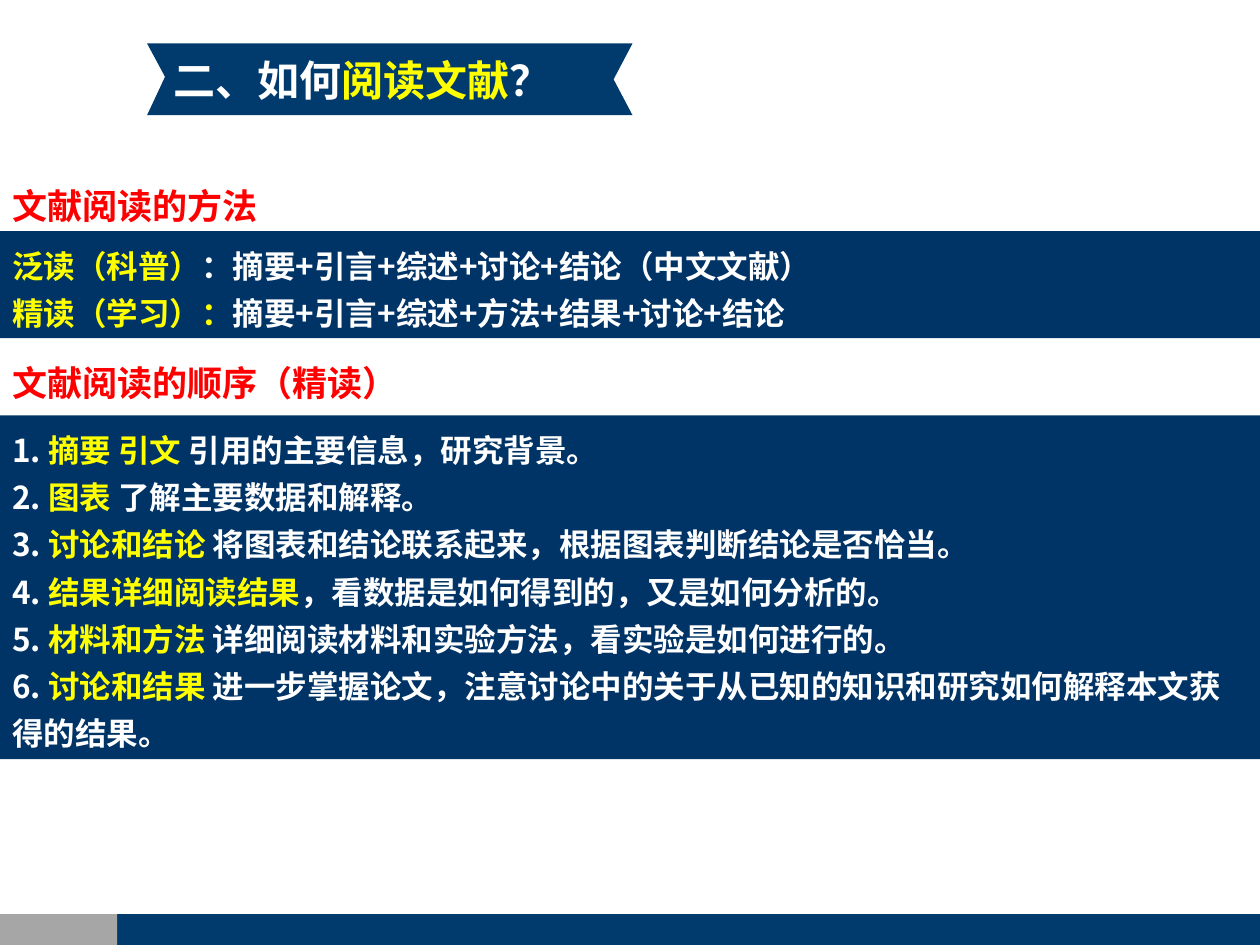
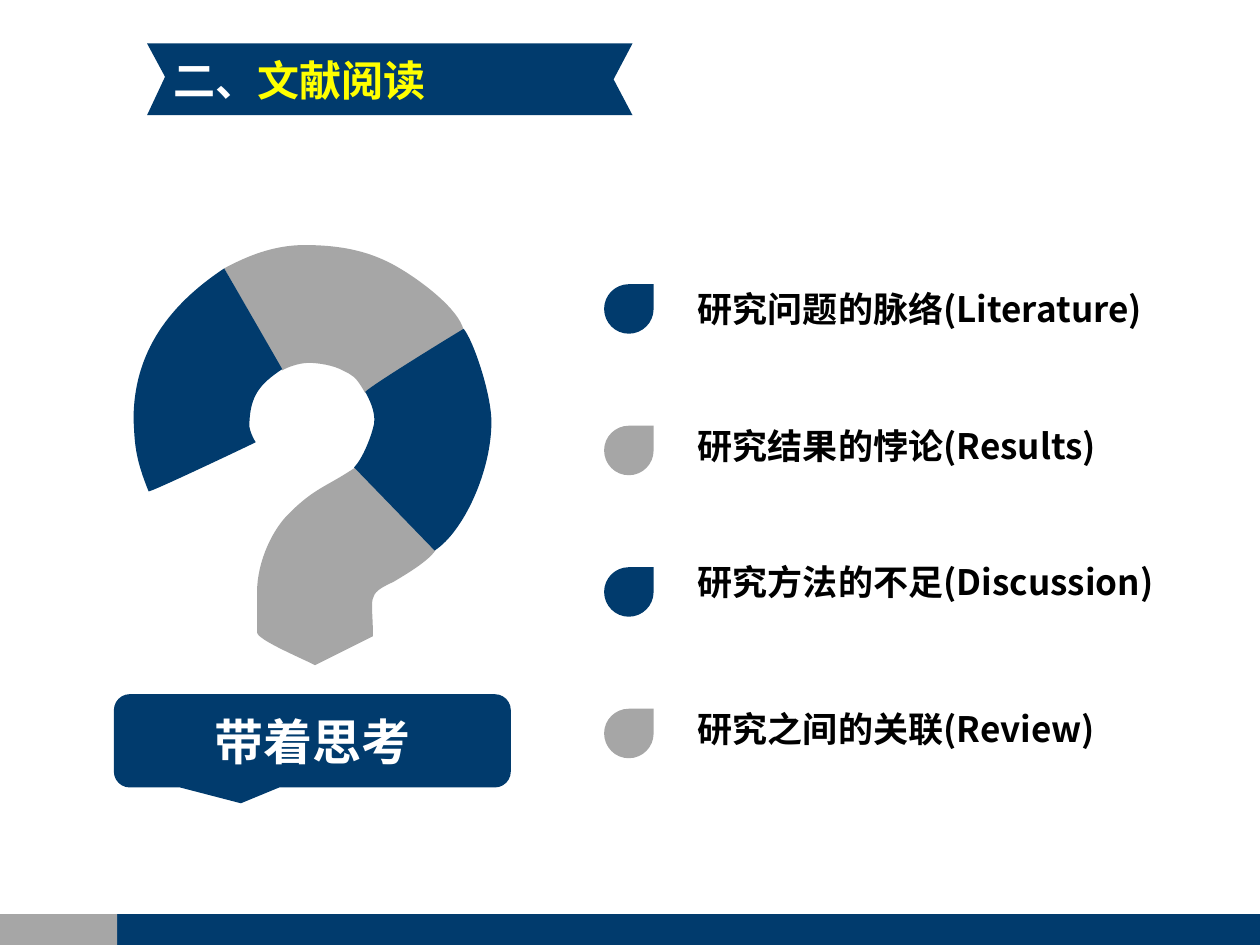
from dataclasses import dataclass
from typing import Any, NamedTuple

import pptx
import pptx.dml.color
import pptx.enum.shapes
import pptx.enum.text
import pptx.oxml
import pptx.oxml.ns
import pptx.util

Align = pptx.enum.text.PP_ALIGN
Anchor = pptx.enum.text.MSO_ANCHOR
AutoSize = pptx.enum.text.MSO_AUTO_SIZE
Preset = pptx.enum.shapes.MSO_SHAPE


# Theme and grid
@dataclass(frozen=True)
class Theme:
    navy: str = "013B6D"
    panel: str = "003366"
    grey: str = "A6A6A6"
    white: str = "FFFFFF"
    yellow: str = "FFFF00"
    red: str = "FF0000"
    black: str = "000000"
    sans: str = "Noto Sans CJK SC"
    heading_font: str = "Arial"
    title_size: int = 24
    heading_size: int = 20
    body_size: int = 18
    callout_size: int = 28


THEME = Theme()
SLIDE_WIDTH = pptx.util.Inches(10)
SLIDE_HEIGHT = pptx.util.Inches(7.5)
COLUMNS = 100  # the slide is 100 columns by 75 rows of square cells
CELL = SLIDE_WIDTH // COLUMNS


def cells(count: float) -> pptx.util.Emu:
    return pptx.util.Emu(round(count * CELL))


# Descriptions of repeated elements
class Box(NamedTuple):
    left: float
    top: float
    width: float
    height: float

    def lengths(self) -> list[pptx.util.Emu]:
        return [cells(length) for length in self]


class Span(NamedTuple):
    text: str
    color: str | None = None


class TextStyle(NamedTuple):
    size: int
    color: str
    font: str = THEME.sans
    line_spacing: float | None = None
    align: Any = Align.LEFT


class Outline(NamedTuple):
    """Start point, then (x, y) lines and (x1, y1, x2, y2, x, y) curves."""
    color: str
    start: tuple[float, float]
    steps: list[tuple[float, ...]]


class Panel(NamedTuple):
    heading: str
    heading_top: float
    box: Box
    lines: list[list[Span]]


class Topic(NamedTuple):
    text: str
    label_top: float


Line = list[Span]
TITLE = TextStyle(THEME.title_size, THEME.white)
HEADING = TextStyle(THEME.heading_size, THEME.red, THEME.heading_font)
BODY = TextStyle(THEME.body_size, THEME.white, line_spacing=1.25)
TOPIC = TextStyle(THEME.heading_size, THEME.black, line_spacing=1.2, align=Align.JUSTIFY)
CALLOUT = TextStyle(THEME.callout_size, THEME.white, align=Align.CENTER)


# Drawing functions
def rgb(color: str) -> pptx.dml.color.RGBColor:
    return pptx.dml.color.RGBColor.from_string(color)


def paint(shape: Any, color: str) -> Any:
    shape.shadow.inherit = False
    shape.fill.solid()
    shape.fill.fore_color.rgb = rgb(color)
    shape.line.fill.background()
    return shape


def add_preset(shapes: Any, preset: Any, box: Box, color: str) -> Any:
    return paint(shapes.add_shape(preset, *box.lengths()), color)


def write(shape: Any, lines: list[Line], style: TextStyle,
          anchor: Any = Anchor.TOP, auto_size: Any = AutoSize.SHAPE_TO_FIT_TEXT) -> None:
    frame = shape.text_frame
    frame.word_wrap = True
    frame.vertical_anchor = anchor
    frame.auto_size = auto_size
    for index, line in enumerate(lines):
        paragraph = frame.add_paragraph() if index else frame.paragraphs[0]
        paragraph.alignment = style.align
        if style.line_spacing:
            paragraph.line_spacing = style.line_spacing
        font = paragraph.font
        font.size = pptx.util.Pt(style.size)
        font.bold = True
        font.color.rgb = rgb(style.color)
        font.name = style.font
        # The East Asian typeface follows the Latin one
        latin = paragraph._p.find(".//" + pptx.oxml.ns.qn("a:latin"))
        latin.addnext(pptx.oxml.parse_xml(
            f'<a:ea {pptx.oxml.ns.nsdecls("a")} typeface="{style.font}"/>'))
        for span in line:
            run = paragraph.add_run()
            run.text = span.text
            if span.color:
                run.font.color.rgb = rgb(span.color)


def add_text(shapes: Any, box: Box, line: Line, style: TextStyle) -> None:
    write(shapes.add_textbox(*box.lengths()), [line], style)


def add_outline(shapes: Any, outline: Outline, left: float = 0, top: float = 0) -> None:
    numbers = [*outline.start, *(number for step in outline.steps for number in step)]
    points = [(cells(left + x), cells(top + y)) for x, y in zip(numbers[::2], numbers[1::2])]
    builder = shapes.build_freeform(*points[0])
    builder.add_line_segments(points[1:], close=True)
    shape = paint(builder.convert_to_shape(), outline.color)
    # Join each three segments of a curved step into one Bezier curve
    segments = iter(list(shape._element.iter(pptx.oxml.ns.qn("a:lnTo"))))
    for step in outline.steps:
        group = [next(segments) for _ in range(len(step) // 2)]
        if len(group) == 3:
            curve = pptx.oxml.parse_xml(f'<a:cubicBezTo {pptx.oxml.ns.nsdecls("a")}/>')
            group[0].addprevious(curve)
            for segment in group:
                curve.append(segment[0])
                segment.getparent().remove(segment)


# Parts shared by the slides
RIBBON = Outline(THEME.navy, (48.7, 6.3), [
    (50.2, 9.15), (11.67, 9.15), (13.1, 6.1), (11.67, 3.45), (50.2, 3.45), (48.7, 6.3)])
FOOTER = [(Box(9.3, 72.56, 90.7, 2.44), THEME.navy), (Box(0, 72.56, 9.3, 2.44), THEME.grey)]


def add_titled_slide(presentation: Any, title: Line) -> Any:
    slide = presentation.slides.add_slide(presentation.slide_layouts[6])
    for box, color in FOOTER:
        add_preset(slide.shapes, Preset.RECTANGLE, box, color)
    banner = slide.shapes.add_group_shape().shapes
    add_outline(banner, RIBBON)
    add_text(banner, Box(12.8, 3.8, 36.9, 5), title, TITLE)
    return slide


# Slide 1: how to read
def key(text: str) -> Span:
    return Span(text, THEME.yellow)


READING_STEPS = [
    ("摘要 引文", " 引用的主要信息，研究背景。"),
    ("图表", " 了解主要数据和解释。"),
    ("讨论和结论", " 将图表和结论联系起来，根据图表判断结论是否恰当。"),
    ("结果详细阅读结果", "，看数据是如何得到的，又是如何分析的。"),
    ("材料和方法", " 详细阅读材料和实验方法，看实验是如何进行的。"),
    ("讨论和结果", " 进一步掌握论文，注意讨论中的关于从已知的知识和研究如何解释本文获得的结果。"),
]
PANELS = [
    Panel("文献阅读的顺序（精读）", 28.2, Box(0, 32.96, COLUMNS, 27.3), [
        [Span(f"{number}. "), key(part), Span(advice)]
        for number, (part, advice) in enumerate(READING_STEPS, 1)
    ]),
    Panel("文献阅读的方法", 14.15, Box(0, 18.34, COLUMNS, 8.5), [
        [key("泛读（科普）"), Span("：摘要+引言+综述+讨论+结论（中文文献）")],
        [key("精读（学习）："), Span("摘要+引言+综述+方法+结果+讨论+结论")],
    ]),
]


def build_reading_slide(presentation: Any) -> None:
    title = [Span("二、如何"), key("阅读文献"), Span("？")]
    shapes = add_titled_slide(presentation, title).shapes
    for panel in PANELS:
        write(add_preset(shapes, Preset.RECTANGLE, panel.box, THEME.panel), panel.lines, BODY)
        add_text(shapes, Box(0, panel.heading_top, 33.3, 4.4), [Span(panel.heading)], HEADING)


# Slide 2: reading with questions
QUESTION_MARK = [
    Outline(THEME.grey, (17.8, 21.3), [  # top arc
        (22.4, 29.4), (22.7, 29.2, 23.7, 28.8, 24.5, 28.8),
        (25.3, 28.8, 26.5, 29, 27.2, 29.4), (28, 29.8, 28.2, 29.8, 29, 31.2),
        (29.1, 31.1, 36, 26.8, 36.8, 26.2), (36.4, 24.5, 33.4, 22.3, 31.9, 21.4),
        (29.8, 20.1, 27.5, 19.45, 24.2, 19.45), (21.6, 19.45, 19.5, 20.4, 17.8, 21.3)]),
    Outline(THEME.grey, (34.6, 43.6), [  # stem
        (28.2, 37.1), (26, 38.6, 25, 38.7, 23, 40.7),
        (21.7, 41.9, 20.4, 44.5, 20.4, 47), (20.4, 50.2),
        (20.4, 50.8, 24.3, 52.4, 25, 52.8), (29.6, 50.5),
        (29.6, 47.4, 29, 47.2, 31.2, 46.2), (32.2, 45.6, 34.1, 44.5, 34.6, 43.6)]),
    Outline(THEME.navy, (22.4, 29.3), [  # left arc
        (17.8, 21.3), (14.2, 23.7, 10.6, 27.3, 10.6, 33.3),
        (10.7, 35.2, 10.7, 36.3, 11.8, 39), (11.9, 39.1, 19.7, 35.4, 20.3, 35.1),
        (20.1, 34.8, 19.7, 34, 19.8, 33.5), (19.9, 31.4, 20.6, 30.5, 22.4, 29.3)]),
    Outline(THEME.navy, (29, 31.1), [  # right arc
        (29.3, 31.7, 29.8, 32.6, 29.7, 33.6), (29.5, 34.6, 28.8, 36.4, 28.1, 37.1),
        (34.5, 43.7), (36.8, 42.2, 39, 37.4, 39, 33.5),
        (39, 31.3, 37.6, 27.1, 36.8, 26.1), (35.8, 26.7, 29.6, 30.5, 29, 31.1)]),
]
TOPICS = [
    Topic("研究问题的脉络(Literature)", 21.7),
    Topic("研究结果的悖论(Results)", 32.5),
    Topic("研究方法的不足(Discussion)", 43.3),
    Topic("研究之间的关联(Review)", 55),
]
DROP_LEFT, DROP_TOP, DROP_STEP = 47.95, 22.56, 11.23
DROP_CURVES = [
    (0, 0.88, 0.88, 0, 1.96, 0), (2.6, 0, 3.3, 0, 3.93, 0),
    (3.93, 0.6, 3.93, 1.3, 3.93, 1.96), (3.93, 3.05, 3.05, 3.93, 1.96, 3.93),
    (0.88, 3.93, 0, 3.05, 0, 1.96)]


def build_question_slide(presentation: Any) -> None:
    shapes = add_titled_slide(presentation, [Span("二、"), key("文献阅读")]).shapes

    # Question mark and its callout
    emblem = shapes.add_group_shape().shapes
    for outline in QUESTION_MARK:
        add_outline(emblem, outline)
    callout = add_preset(emblem, Preset.ROUNDED_RECTANGULAR_CALLOUT,
                         Box(9.04, 55.1, 31.5, 7.4), THEME.navy)
    for index, value in enumerate((-0.18, 0.67, 0.17)):
        callout.adjustments[index] = value
    write(callout, [[Span("带着思考")]], CALLOUT, Anchor.MIDDLE, AutoSize.NONE)

    # Topics with alternating drops
    for index, topic in enumerate(TOPICS):
        drop = Outline((THEME.navy, THEME.grey)[index % 2], (0, 1.96), DROP_CURVES)
        add_outline(shapes, drop, DROP_LEFT, DROP_TOP + index * DROP_STEP)
        add_text(shapes, Box(54.4, topic.label_top, 39.8, 5), [Span(topic.text)], TOPIC)


def main() -> None:
    presentation = pptx.Presentation()
    presentation.slide_width = SLIDE_WIDTH
    presentation.slide_height = SLIDE_HEIGHT
    build_reading_slide(presentation)
    build_question_slide(presentation)
    presentation.save("out.pptx")


if __name__ == "__main__":
    main()
